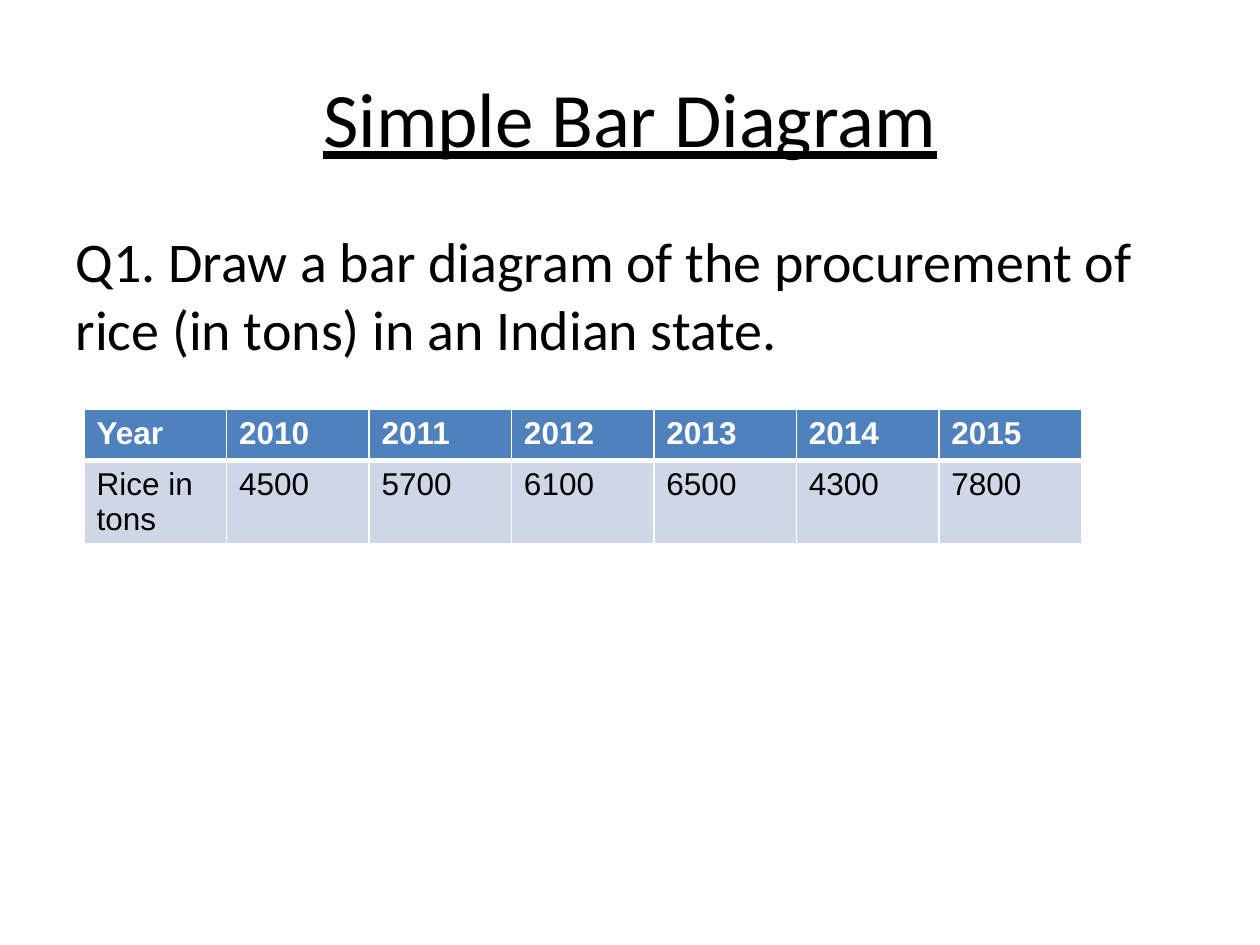
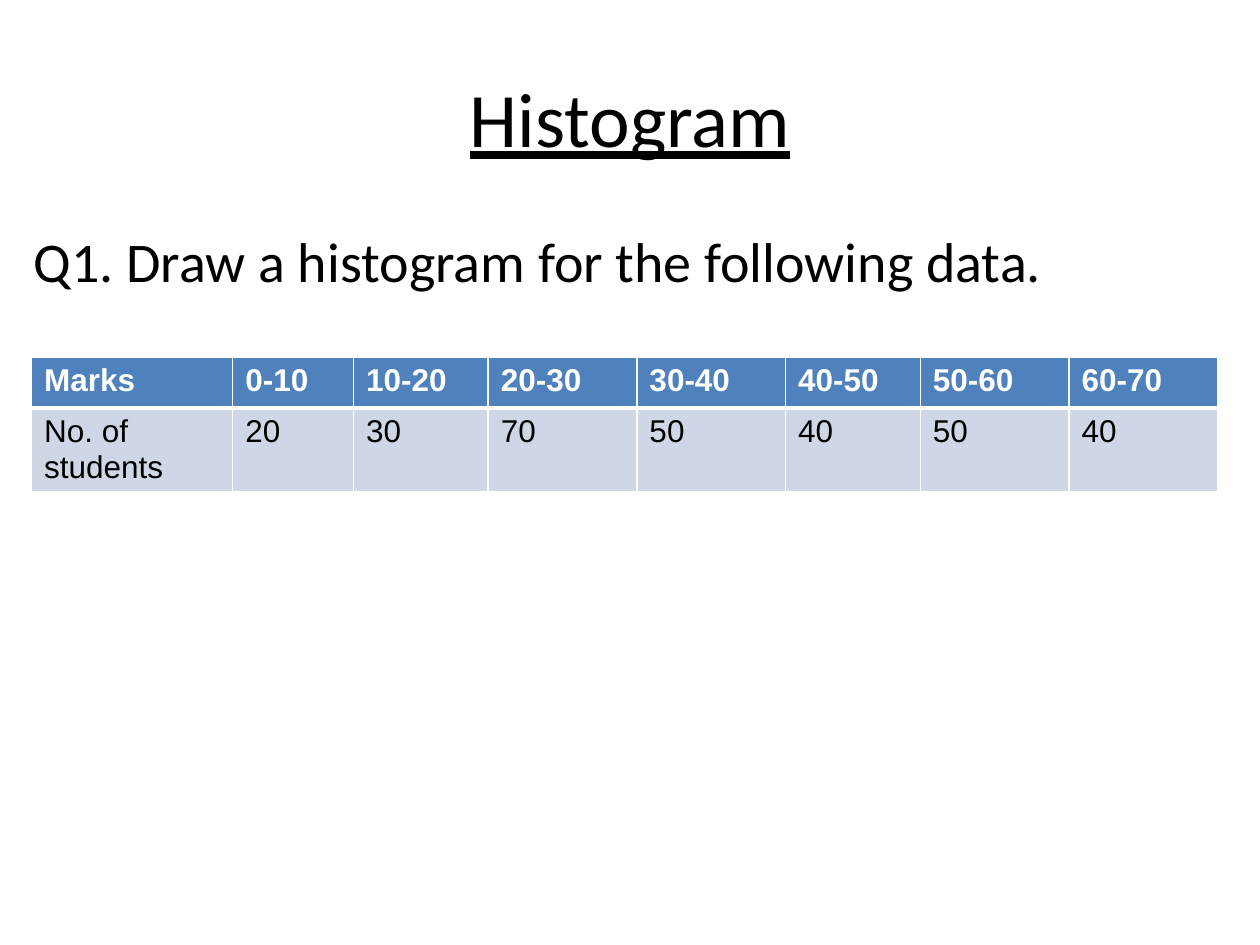
import pptx
import pptx.dml.color
import pptx.enum.text
import pptx.oxml.ns
import pptx.util
from lxml import etree

Pt = pptx.util.Pt
RGBColor = pptx.dml.color.RGBColor

BLACK = RGBColor(0x00, 0x00, 0x00)
WHITE = RGBColor(0xFF, 0xFF, 0xFF)
HEADER_BLUE = RGBColor(0x4F, 0x81, 0xBD)
VALUE_BLUE = RGBColor(0xCF, 0xD7, 0xE7)

TITLE_FRAME = (36, 21.6, 648, 90)
BODY_TOP, BODY_HEIGHT = 126, 356.4
ROW_HEIGHTS = (29.2, 46.8)


def style_font(font, name, size, color):
    """Set the typeface, size and colour of a font."""
    font.name = name
    font.size = Pt(size)
    font.color.rgb = color


def place(shape, left, top, width, height):
    """Move and size a shape, in points."""
    shape.left, shape.top = Pt(left), Pt(top)
    shape.width, shape.height = Pt(width), Pt(height)


def fill_title(slide, text):
    """Write the underlined, centred slide title."""
    title = slide.shapes.title
    place(title, *TITLE_FRAME)
    frame = title.text_frame
    frame.text = text
    frame.auto_size = pptx.enum.text.MSO_AUTO_SIZE.NONE
    frame.vertical_anchor = pptx.enum.text.MSO_ANCHOR.MIDDLE
    para = frame.paragraphs[0]
    para.alignment = pptx.enum.text.PP_ALIGN.CENTER
    span = para.runs[0]
    style_font(span.font, "Calibri", 44, BLACK)
    span.font.underline = True


def fill_question(slide, text, left, width):
    """Write the question in the body placeholder, without a bullet."""
    body = slide.placeholders[1]
    place(body, left, BODY_TOP, width, BODY_HEIGHT)
    frame = body.text_frame
    frame.text = text
    frame.auto_size = pptx.enum.text.MSO_AUTO_SIZE.NONE
    para = frame.paragraphs[0]
    para.space_before = Pt(0)
    properties = para._p.get_or_add_pPr()
    properties.set("marL", "0")
    properties.set("indent", "0")
    etree.SubElement(properties, pptx.oxml.ns.qn("a:buNone"))
    style_font(para.runs[0].font, "Calibri", 32, BLACK)


def add_border(cell, side, width):
    """Draw a white line on one side of a table cell."""
    qn = pptx.oxml.ns.qn
    line = etree.SubElement(cell._tc.get_or_add_tcPr(), qn(f"a:ln{side}"), w=str(Pt(width)))
    fill = etree.SubElement(line, qn("a:solidFill"))
    etree.SubElement(fill, qn("a:srgbClr"), val=str(WHITE))


def style_cell(cell, text, is_header):
    """Write a cell in the header or the value style."""
    for side in "LRTB":
        at_divider = side == ("B" if is_header else "T")
        add_border(cell, side, 3 if at_divider else 1)
    cell.fill.solid()
    cell.fill.fore_color.rgb = HEADER_BLUE if is_header else VALUE_BLUE
    cell.text = text
    span = cell.text_frame.paragraphs[0].runs[0]
    style_font(span.font, "Arial", 18, WHITE if is_header else BLACK)
    span.font.bold = is_header


def add_data_table(slide, left, top, widths, rows):
    """Add a table with a header row above a row of values."""
    frame = slide.shapes.add_table(
        len(rows), len(widths), Pt(left), Pt(top), Pt(sum(widths)), Pt(sum(ROW_HEIGHTS)))
    table = frame.table
    for column, width in zip(table.columns, widths):
        column.width = Pt(width)
    for row_index, (row, height) in enumerate(zip(rows, ROW_HEIGHTS)):
        table.rows[row_index].height = Pt(height)
        for column_index, text in enumerate(row):
            style_cell(table.cell(row_index, column_index), text, row_index == 0)


def add_question_slide(deck, title, question, body_span, table_corner, widths, rows):
    """Add a slide with a title, a question and its data table."""
    slide = deck.slides.add_slide(deck.slide_layouts[1])
    fill_title(slide, title)
    fill_question(slide, question, *body_span)
    add_data_table(slide, *table_corner, widths, rows)


def main():
    """Build the two question slides and save the deck."""
    deck = pptx.Presentation()
    deck.slide_width, deck.slide_height = Pt(720), Pt(540)
    add_question_slide(
        deck, "Simple Bar Diagram",
        "Q1. Draw a bar diagram of the procurement of rice (in tons) in an Indian state.",
        (36, 648), (48, 234), [81.43] * 7,
        [["Year", "2010", "2011", "2012", "2013", "2014", "2015"],
         ["Rice in tons", "4500", "5700", "6100", "6500", "4300", "7800"]])
    add_question_slide(
        deck, "Histogram", "Q1. Draw a histogram for the following data.",
        (12, 696), (18, 204), [115, 69, 77, 85, 85, 77, 85, 85],
        [["Marks", "0-10", "10-20", "20-30", "30-40", "40-50", "50-60", "60-70"],
         ["No. of students", "20", "30", "70", "50", "40", "50", "40"]])
    deck.save("out.pptx")


if __name__ == "__main__":
    main()
